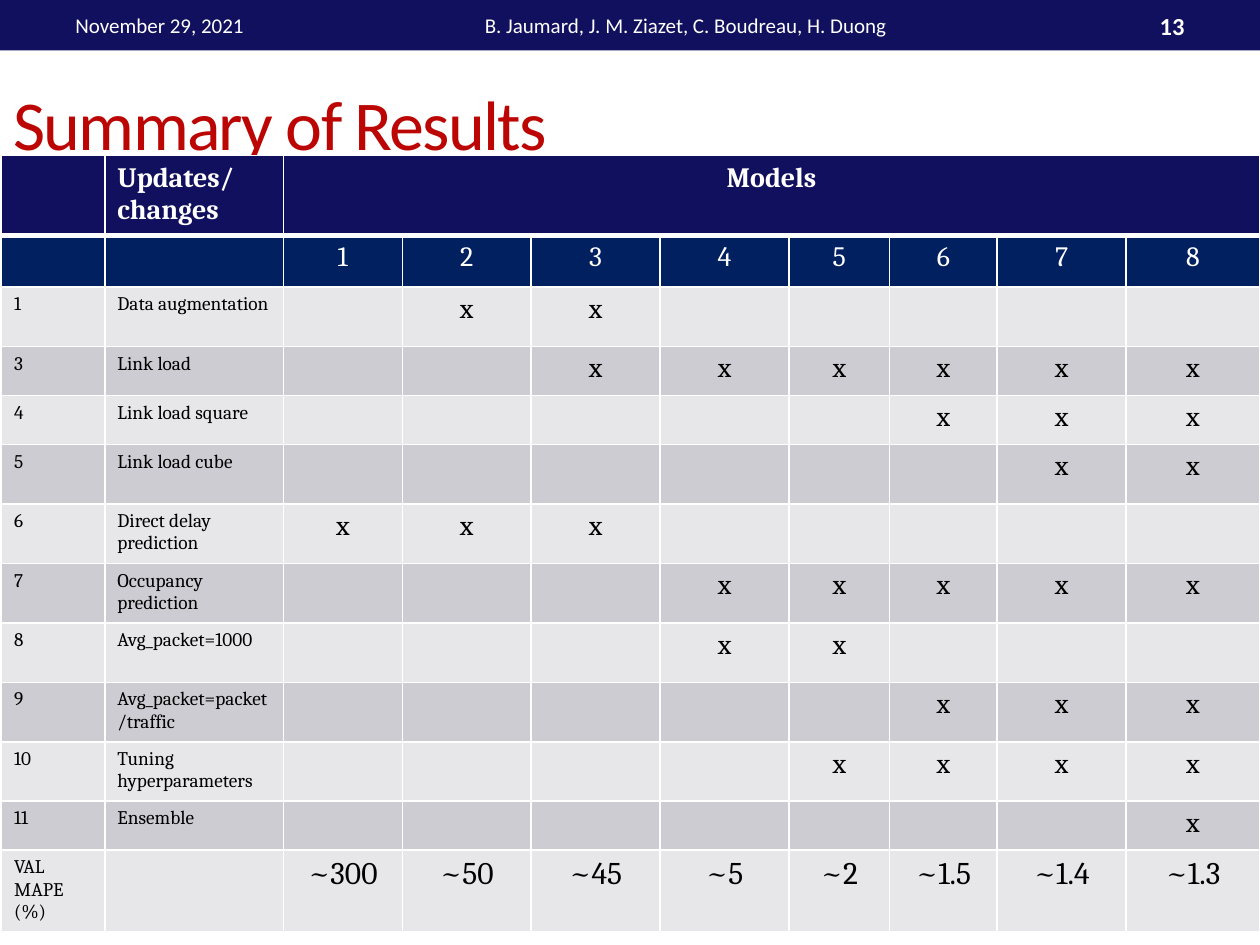
from lxml.etree import SubElement
from pptx import Presentation
from pptx.dml.color import RGBColor
from pptx.enum.shapes import MSO_SHAPE as Shape
from pptx.enum.text import MSO_ANCHOR as Anchor, PP_ALIGN as Align
from pptx.oxml.ns import qn
from pptx.util import Pt

NAVY = RGBColor(0x11, 0x10, 0x5E)
BLUE = RGBColor(0x00, 0x20, 0x60)
RED = RGBColor(0xBC, 0x06, 0x04)
WHITE = RGBColor(0xFF, 0xFF, 0xFF)
BLACK = RGBColor(0x00, 0x00, 0x00)
LIGHT = RGBColor(0xE7, 0xE7, 0xEA)
DARK = RGBColor(0xCC, 0xCC, 0xD2)

TITLE = "Summary of Results"
BANNER = [
    ("November 29, 2021", 36, 228, 12, False, Align.LEFT),
    ("B. Jaumard, J. M. Ziazet, C. Boudreau, H. Duong", 270, 324, 12, False, Align.LEFT),
    ("13", 600, 84, 14, True, Align.RIGHT),
]
MODELS = range(1, 9)
UPDATES = [
    ("1", "Data augmentation", {2, 3}, 34),
    ("3", "Link load", {3, 4, 5, 6, 7, 8}, 28),
    ("4", "Link load square", {6, 7, 8}, 28),
    ("5", "Link load cube", {7, 8}, 34),
    ("6", "Direct delay prediction", {1, 2, 3}, 34),
    ("7", "Occupancy prediction", {4, 5, 6, 7, 8}, 34),
    ("8", "Avg_packet=1000", {4, 5}, 34),
    ("9", "Avg_packet=packet/traffic", {6, 7, 8}, 34),
    ("10", "Tuning hyperparameters", {5, 6, 7, 8}, 34),
    ("11", "Ensemble", {8}, 28),
]
ERRORS = ["~300", "~50", "~45", "~5", "~2", "~1.5", "~1.4", "~1.3"]
COLUMN_WIDTHS = [59, 102, 68, 73.7, 73.7, 73.7, 57.5, 61.5, 73.7, 76.3]
HEADER_HEIGHT, MODEL_HEIGHT, ERROR_HEIGHT = 45, 29.5, 34
LABEL_COLUMNS = 2


def add_span(para, text, font, size, color, bold=False):
    span = para.add_run()
    span.text = text
    span.font.name = font
    span.font.size = Pt(size)
    span.font.bold = bold
    span.font.color.rgb = color
    return span


def add_text(page, text, left, top, width, height, size, color, bold=False, align=Align.LEFT):
    box = page.shapes.add_textbox(Pt(left), Pt(top), Pt(width), Pt(height))
    box.text_frame.word_wrap = True
    box.text_frame.vertical_anchor = Anchor.MIDDLE
    para = box.text_frame.paragraphs[0]
    para.alignment = align
    return add_span(para, text, "Calibri", size, color, bold)


def set_borders(cell, top, bottom):
    properties = cell._tc.get_or_add_tcPr()
    for side, width in (("lnL", 1), ("lnR", 1), ("lnT", top), ("lnB", bottom)):
        line = SubElement(properties, qn(f"a:{side}"), w=str(Pt(width)))
        fill = SubElement(line, qn("a:solidFill"))
        SubElement(fill, qn("a:srgbClr"), val=str(WHITE))


def fill_cell(cell, text, size, color, bold, align):
    frame = cell.text_frame
    for index, line in enumerate(text.split("\n")):
        para = frame.add_paragraph() if index else frame.paragraphs[0]
        para.alignment = align
        if line:
            add_span(para, line, "Cambria", size, color, bold)
        else:
            SubElement(para._p, qn("a:endParaRPr"), sz=str(size * 100))


def add_results(page):
    rows = [["", "Updates/\nchanges", "Models"] + [""] * (len(MODELS) - 1)]
    rows.append(["", ""] + [str(model) for model in MODELS])
    for number, label, used, _ in UPDATES:
        rows.append([number, label] + ["x" if model in used else "" for model in MODELS])
    rows.append(["VAL MAPE (%)", ""] + ERRORS)
    heights = [HEADER_HEIGHT, MODEL_HEIGHT] + [update[3] for update in UPDATES] + [ERROR_HEIGHT]

    frame = page.shapes.add_table(len(rows), len(COLUMN_WIDTHS), Pt(0.9), Pt(88.9),
                                  Pt(sum(COLUMN_WIDTHS)), Pt(sum(heights)))
    table = frame.table
    for column, width in zip(table.columns, COLUMN_WIDTHS):
        column.width = Pt(width)
    for row, height in zip(table.rows, heights):
        row.height = Pt(height)
    table.cell(0, LABEL_COLUMNS).merge(table.cell(0, len(COLUMN_WIDTHS) - 1))

    last = len(rows) - 1
    for r, texts in enumerate(rows):
        background = (NAVY, BLUE)[r] if r < 2 else (LIGHT, DARK)[r % 2]
        color = WHITE if r < 2 else BLACK
        for c, text in enumerate(texts):
            is_label = c < LABEL_COLUMNS
            if r >= 2 and is_label:
                size = 11
            else:
                size = 18 if r == last else 16
            cell = table.cell(r, c)
            set_borders(cell, 3 if r == 1 else 1, 3 if r == 0 else 1)
            cell.fill.solid()
            cell.fill.fore_color.rgb = background
            fill_cell(cell, text, size, color, r == 0, Align.LEFT if is_label else Align.CENTER)


def main():
    deck = Presentation()
    deck.slide_width, deck.slide_height = Pt(720), Pt(540)
    page = deck.slides.add_slide(deck.slide_layouts[6])

    banner = page.shapes.add_shape(Shape.RECTANGLE, 0, 0, Pt(720), Pt(28.8))
    banner.shadow.inherit = False
    banner.fill.solid()
    banner.fill.fore_color.rgb = NAVY
    banner.line.fill.background()

    title = add_text(page, TITLE, 0.7, 31, 648, 78, 40, RED)
    title.font._element.set("spc", "-100")
    for text, left, width, size, bold, align in BANNER:
        add_text(page, text, left, 1.5, width, 26, size, WHITE, bold, align)
    add_results(page)
    deck.save("out.pptx")


if __name__ == "__main__":
    main()
